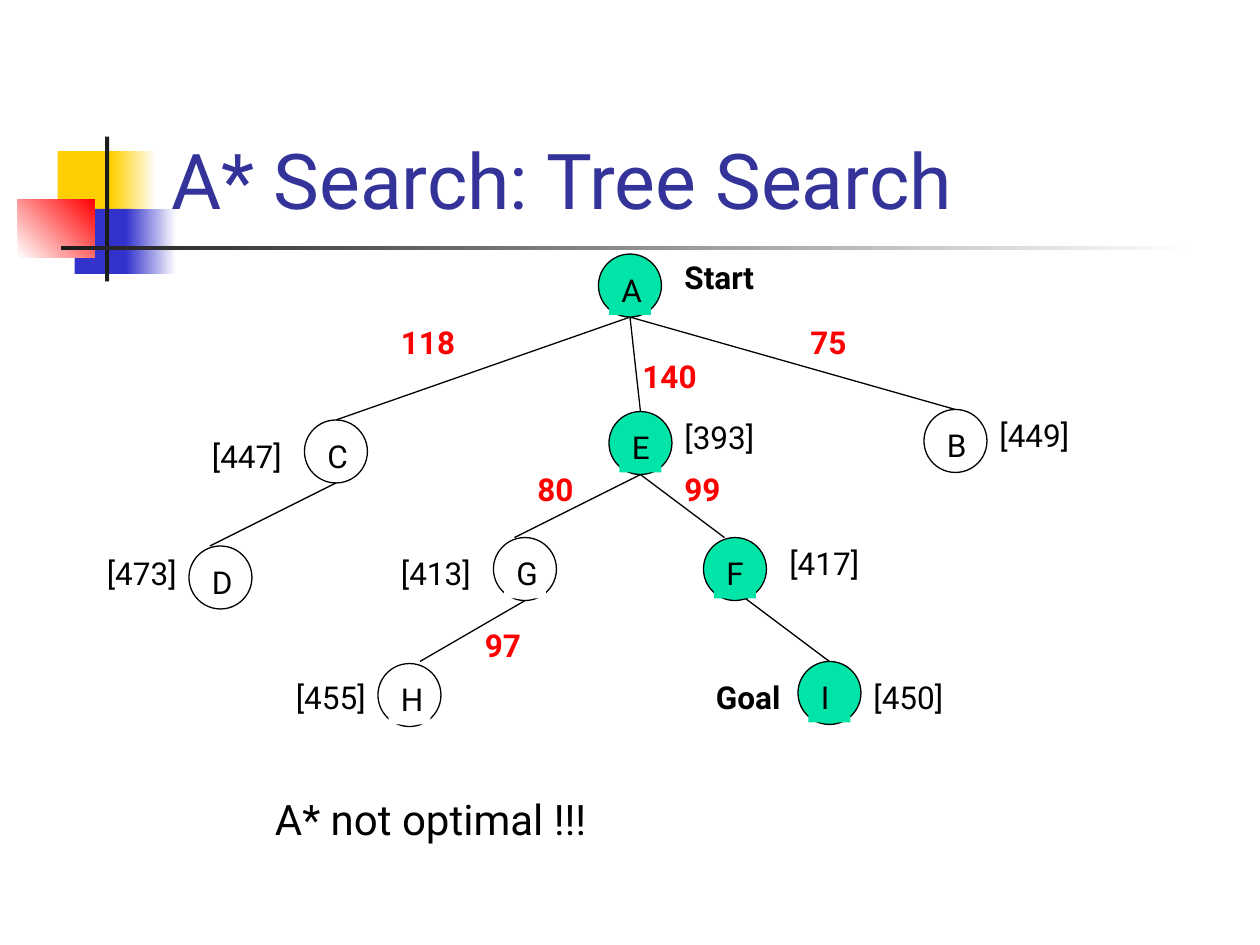
from pptx import Presentation
from pptx import util as u
from pptx.dml.color import RGBColor
from pptx.enum import shapes, text
from pptx.oxml.ns import qn
from lxml import etree

PX = 7620
FONT = "Roboto"
HEX = {
    "gold": "FFCF01", "blue": "3333CC", "red": "FF0000", "dark": "1C1C1C",
    "white": "FFFFFF", "black": "000000", "navy": "333399", "green": "00E4A8",
}
RGB = {name: RGBColor.from_string(code) for name, code in HEX.items()}


def add_shape(home, kind, box, fill=None, line=None):
    shape = home.add_shape(kind, *[v * PX for v in box])
    shape.shadow.inherit = False
    if fill:
        shape.fill.solid()
        shape.fill.fore_color.rgb = RGB[fill]
    else:
        shape.fill.background()
    if line:
        shape.line.color.rgb = RGB[line]
        shape.line.width = u.Pt(0.75)
    else:
        shape.line.fill.background()
    return shape


def add_text(home, words, box, color="black", bold=False, size=18, fill=None):
    label = home.add_textbox(*[v * PX for v in box])
    if fill:
        label.fill.solid()
        label.fill.fore_color.rgb = RGB[fill]
    frame = label.text_frame
    frame.word_wrap = True
    frame.auto_size = text.MSO_AUTO_SIZE.SHAPE_TO_FIT_TEXT
    para = frame.paragraphs[0]
    para.text = words
    para.space_before = u.Pt(size * 0.625)
    para.font.name = FONT
    para.font.size = u.Pt(size)
    para.font.bold = bold
    para.font.color.rgb = RGB[color]


deck = Presentation()
deck.slide_width = 1200 * PX
deck.slide_height = 900 * PX
slide = deck.slides.add_slide(deck.slide_layouts[5])
parts = slide.shapes
RECT = shapes.MSO_SHAPE.RECTANGLE
OVAL = shapes.MSO_SHAPE.OVAL

decor = [
    ((55, 144, 58, 62), "gold", None, 0),
    ((106, 144, 43, 62), "gold", "white", 0),
    ((71, 199, 55, 62), "blue", None, 0),
    ((120, 199, 48, 62), "blue", "white", 0),
    ((17, 190, 73, 55), "white", "red", 45),
    ((100, 130, 4, 138), "dark", None, 0),
    ((58, 234, 1080, 4), "dark", "white", 0),
]
for box, start, end, angle in decor:
    block = add_shape(parts, RECT, box, start)
    if end:
        block.fill.gradient()
        block.fill.gradient_angle = angle
        for stop, color in zip(block.fill.gradient_stops, (start, end)):
            stop.color.rgb = RGB[color]

title = parts.title
title.left, title.top, title.width, title.height = [
    v * PX for v in (151, 28, 1022, 192)]
parts.element.append(title.element)
title.text_frame.text = "A* Search: Tree Search"
title.text_frame.vertical_anchor = text.MSO_ANCHOR.BOTTOM
head = title.text_frame.paragraphs[0]
head.alignment = text.PP_ALIGN.LEFT
head.font.name = FONT
head.font.size = u.Pt(44)
head.font.color.rgb = RGB["navy"]

edges = [
    (600, 302, 910, 390), (600, 302, 610, 392), (600, 302, 320, 400),
    (610, 452, 690, 512), (610, 452, 490, 512), (500, 572, 400, 630),
    (710, 570, 790, 630), (320, 460, 200, 520),
]
for ends in edges:
    edge = parts.add_connector(
        shapes.MSO_CONNECTOR.STRAIGHT, *[v * PX for v in ends])
    edge.line.color.rgb = RGB["black"]
    edge.line.width = u.Pt(0.75)
    etree.SubElement(edge.element.spPr, qn("a:effectLst"))

nodes = [
    ("A", 570, 242, "green"), ("B", 880, 390, None), ("C", 290, 400, None),
    ("E", 580, 392, "green"), ("F", 670, 512, "green"),
    ("G", 470, 512, "white"), ("H", 360, 632, "white"),
    ("I", 760, 630, "green"), ("D", 180, 520, None),
]
for name, x, y, fill in nodes:
    node = parts.add_group_shape().shapes
    add_shape(node, OVAL, (x, y, 60, 60), fill, "black")
    add_text(node, name, (x + 10, y + 10, 40, 48), fill=fill)

costs = [
    ("118", 370, 302, 100), ("140", 600, 334, 100), ("75", 760, 302, 80),
    ("80", 500, 442, 80), ("99", 640, 442, 80), ("97", 450, 590, 80),
]
for words, x, y, wide in costs:
    add_text(parts, words, (x, y, wide, 48), "red", True)

totals = [
    ("[393]", 640, 392), ("[449]", 940, 390), ("[447]", 190, 410),
    ("[417]", 740, 512), ("[413]", 370, 522), ("[455]", 270, 640),
    ("[450]", 820, 640), ("[473]", 90, 522),
]
for words, x, y in totals:
    add_text(parts, words, (x, y, 100, 48))

for words, x, y in [("Start", 640, 240), ("Goal", 670, 640)]:
    add_text(parts, words, (x, y, 160, 48), bold=True)

add_text(parts, "A* not optimal !!!", (250, 750, 840, 60), size=24)

deck.save("out.pptx")
